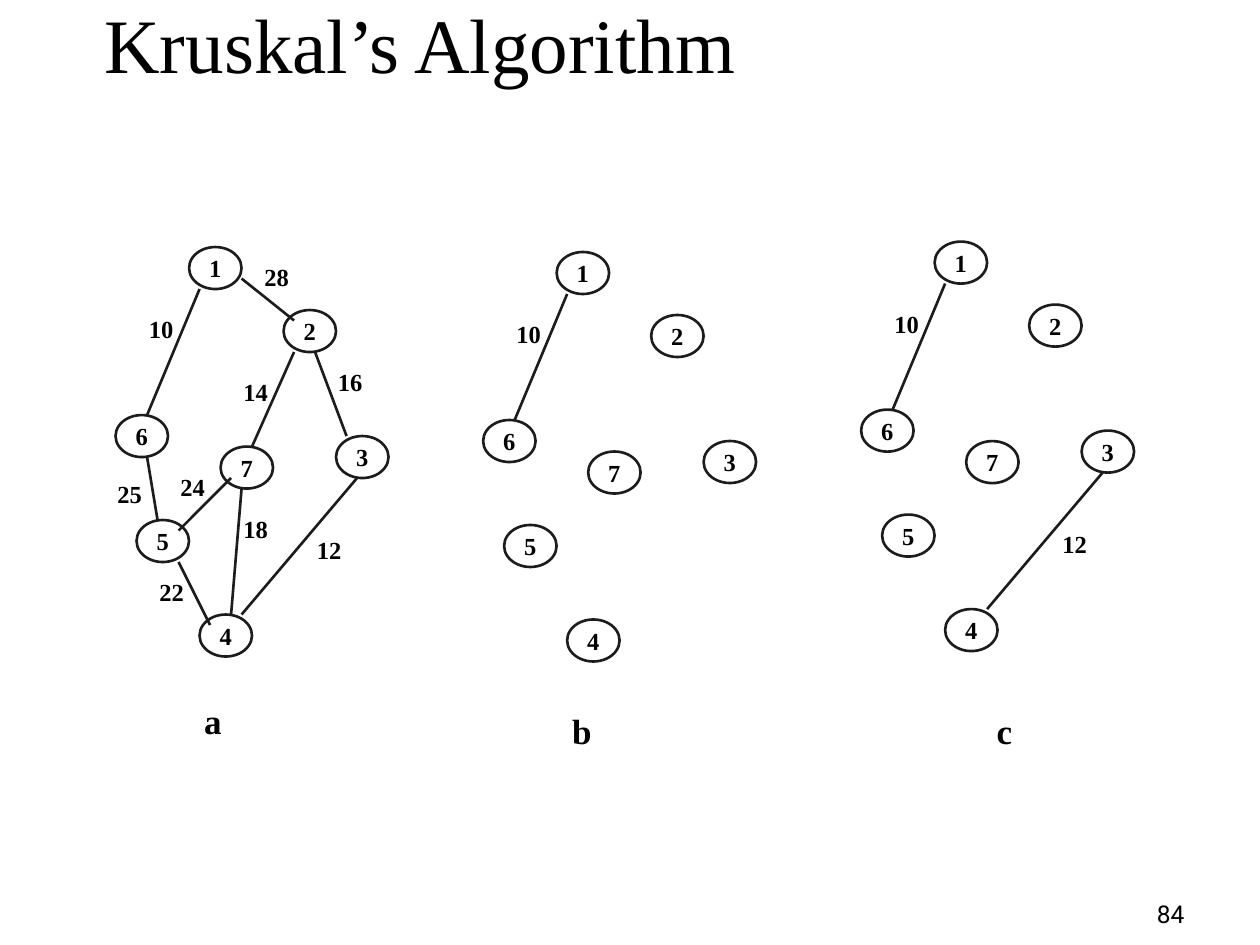
from typing import NamedTuple

from lxml.etree import SubElement
from pptx import Presentation
from pptx.dml.color import RGBColor
from pptx.enum.shapes import MSO_CONNECTOR, MSO_SHAPE
from pptx.enum.text import MSO_ANCHOR, MSO_AUTO_SIZE, PP_ALIGN
from pptx.oxml.ns import qn
from pptx.util import Cm, Pt

SERIF = "Times New Roman"
BLACK, WHITE, INK = "000000", "FFFFFF", "1C1C1C"
GRID = 2.54 / 12  # cm per grid step inside a graph
NODE_SIZE = (5, 4)  # grid steps


class Edge(NamedTuple):
    weight: int
    start: tuple[float, float]
    end: tuple[float, float]
    label: tuple[float, float]


class Graph(NamedTuple):
    name: str
    left: float
    top: float
    weights: set[int]
    caption: tuple[float, float]


# Grid positions relative to the graph's top left corner
NODES = {2: (16, 6), 1: (7, 0), 3: (21, 18), 4: (8, 35),
         6: (0, 16), 7: (10, 19), 5: (2, 26)}

EDGES = [
    Edge(10, (8, 4), (3, 16), (2, 5.8)),
    Edge(28, (12, 3), (17, 7), (13, 0.8)),
    Edge(16, (19, 10), (22, 18), (20, 10.8)),
    Edge(12, (23, 22), (12, 35), (18, 26.8)),
    Edge(22, (9, 36), (6, 30), (3, 30.8)),
    Edge(25, (4, 26), (3, 20), (-1, 21.5)),
    Edge(24, (6, 27), (11, 22), (5, 20.8)),
    Edge(18, (11, 35), (12, 23), (11, 24.8)),
    Edge(14, (13, 19), (17, 10), (11, 11.8)),
]

# Positions in cm
GRAPHS = [
    Graph("a", 2.33, 4.98, {edge.weight for edge in EDGES}, (3.86, 13.97)),
    Graph("b", 9.74, 5.08, {10}, (11.3, 14.18)),
    Graph("c", 17.36, 4.87, {10, 12}, (19.82, 14.18)),
]


def color(value: str) -> RGBColor:
    return RGBColor.from_string(value)


def write(shape, text: str, size: int, font: str = SERIF, bold: bool = True,
          align=PP_ALIGN.CENTER, wrap: bool = False) -> None:
    frame = shape.text_frame
    frame.text = text
    frame.word_wrap = wrap
    paragraph = frame.paragraphs[0]
    paragraph.alignment = align
    paragraph.font.name = font
    paragraph.font.size = Pt(size)
    paragraph.font.bold = bold
    paragraph.font.color.rgb = color(BLACK)


def draw_label(shapes, text: str, size: int, position: tuple,
               width: float, height: float) -> None:
    label = shapes.add_textbox(*position, Cm(width), Cm(height))
    label.text_frame.auto_size = MSO_AUTO_SIZE.SHAPE_TO_FIT_TEXT
    label.text_frame.margin_left = label.text_frame.margin_right = Cm(0.2)
    write(label, text, size)


def draw_line(shapes, begin: tuple, end: tuple) -> None:
    line = shapes.add_connector(MSO_CONNECTOR.STRAIGHT, *begin, *end)
    line.line.color.rgb = color(INK)
    line.line.width = Pt(1.5)
    SubElement(line._element.spPr, qn("a:effectLst"))


def draw_node(shapes, number: int, position: tuple) -> None:
    node = shapes.add_shape(MSO_SHAPE.OVAL, *position,
                            *(Cm(side * GRID) for side in NODE_SIZE))
    node.shadow.inherit = False
    node.fill.solid()
    node.fill.fore_color.rgb = color(WHITE)
    node.line.color.rgb = color(INK)
    node.line.width = Pt(1.5)
    node.text_frame.vertical_anchor = MSO_ANCHOR.MIDDLE
    write(node, str(number), 14)


def draw_graph(slide, graph: Graph) -> None:
    def place(point: tuple[float, float]) -> tuple:
        column, row = point
        return Cm(graph.left + column * GRID), Cm(graph.top + row * GRID)

    shapes = slide.shapes.add_group_shape().shapes
    for number, point in NODES.items():
        draw_node(shapes, number, place(point))
    chosen = [edge for edge in EDGES if edge.weight in graph.weights]
    for edge in chosen:
        draw_line(shapes, place(edge.start), place(edge.end))
    for edge in chosen:
        draw_label(shapes, str(edge.weight), 14, place(edge.label), 0.99, 0.86)

    left, top = graph.caption
    draw_label(slide.shapes, graph.name, 20, (Cm(left), Cm(top)), 0.86, 1.12)


def main() -> None:
    presentation = Presentation()
    presentation.slide_width = Cm(25.4)
    presentation.slide_height = Cm(19.05)
    slide = presentation.slides.add_slide(presentation.slide_layouts[5])

    title = slide.shapes.title
    title.left, title.top = Cm(1.85), Cm(-0.2)
    title.width, title.height = Cm(21.64), Cm(1.9)
    title.text_frame.auto_size = MSO_AUTO_SIZE.NONE
    title.text_frame.vertical_anchor = MSO_ANCHOR.TOP
    write(title, "Kruskal’s Algorithm", 44, bold=False,
          align=PP_ALIGN.LEFT, wrap=True)

    for graph in GRAPHS:
        draw_graph(slide, graph)

    page_number = slide.shapes.add_textbox(Cm(18.85), Cm(17.58), Cm(5.28), Cm(1.27))
    page_number.text_frame.vertical_anchor = MSO_ANCHOR.BOTTOM
    write(page_number, "84", 14, font="Roboto", bold=False,
          align=PP_ALIGN.RIGHT, wrap=True)

    presentation.save("out.pptx")


if __name__ == "__main__":
    main()
